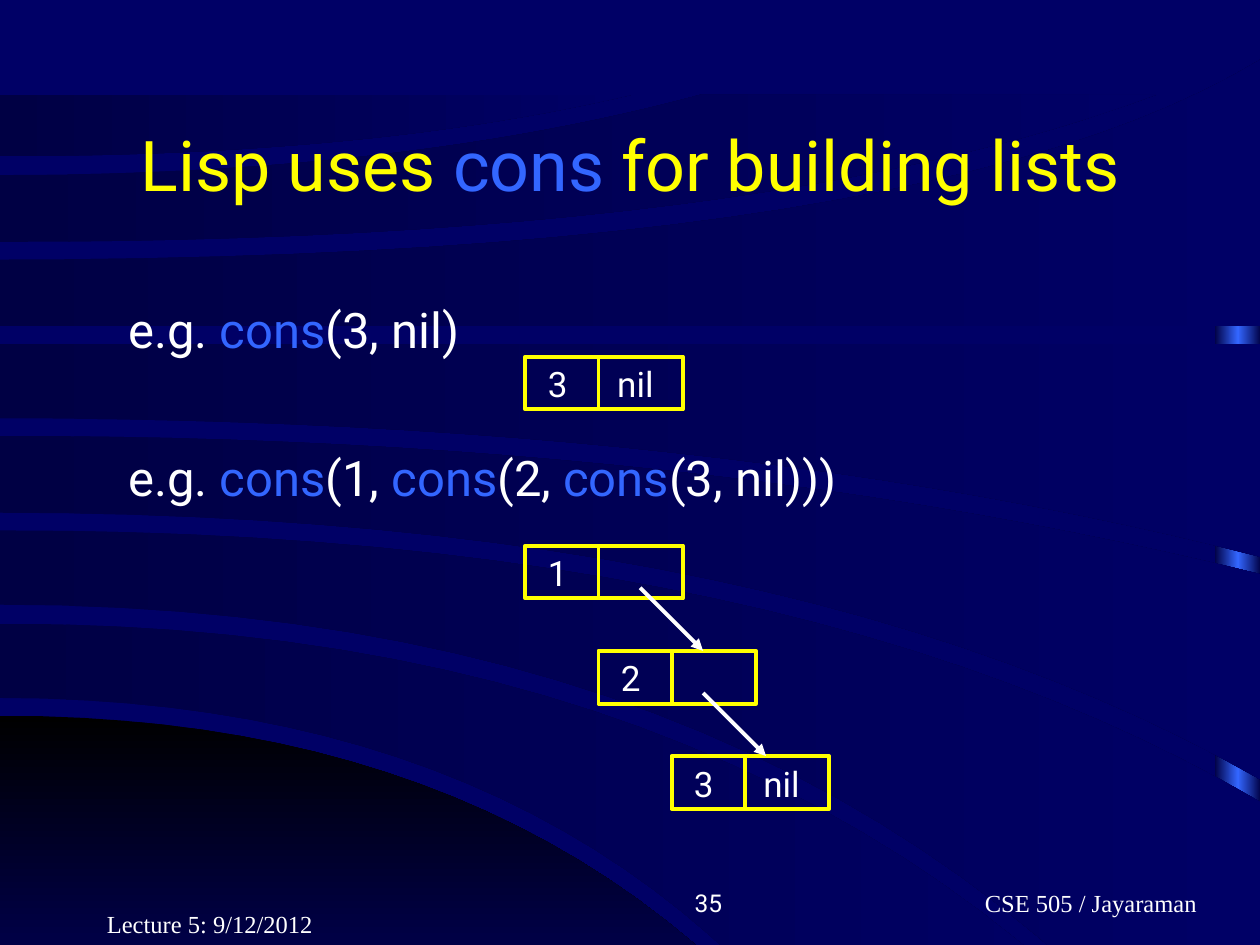
from copy import deepcopy

from lxml import etree
from pptx import Presentation
from pptx.dml.color import RGBColor
from pptx.enum.shapes import MSO_CONNECTOR, MSO_SHAPE
from pptx.enum.text import MSO_ANCHOR, MSO_AUTO_SIZE, PP_ALIGN
from pptx.oxml.ns import qn
from pptx.util import Inches, Pt

RECTANGLE, STRAIGHT = MSO_SHAPE.RECTANGLE, MSO_CONNECTOR.STRAIGHT
LEFT, CENTER, RIGHT = PP_ALIGN.LEFT, PP_ALIGN.CENTER, PP_ALIGN.RIGHT
TOP, MIDDLE, BOTTOM = MSO_ANCHOR.TOP, MSO_ANCHOR.MIDDLE, MSO_ANCHOR.BOTTOM

BLACK = RGBColor(0x00, 0x00, 0x00)
DARK_NAVY = RGBColor(0x00, 0x00, 0x44)
NAVY = RGBColor(0x00, 0x00, 0x66)
BLUE = RGBColor(0x33, 0x66, 0xFF)
YELLOW = RGBColor(0xFF, 0xFF, 0x00)
WHITE = RGBColor(0xFF, 0xFF, 0xFF)
SANS, SERIF = "Roboto", "Times New Roman"

KEYWORD = "cons"
TITLE = "Lisp uses cons for building lists"
EXAMPLES = [("e.g. cons(1, cons(2, cons(3, nil)))", 3.5), ("e.g. cons(3, nil)", 2.33)]
# text, left, top, width, right inset, alignment, font
FOOTERS = [
    ("CSE 505 / Jayaraman", 6.58, 6.83, 3.17, 0.25, RIGHT, SERIF),
    ("35", 3.75, 6.83, 2.08, 0.1, RIGHT, SANS),
    ("Lecture 5: 9/12/2012", 0.75, 7, 2.08, 0.1, LEFT, SERIF),
]
# Each list is a chain of cells: (head, tail)
SINGLE_LIST = [("3", "nil")]
TRIPLE_LIST = [("1", ""), ("2", ""), ("3", "nil")]
CELL_LEFT, CELL_WIDTH, CELL_HEIGHT, HEAD_WIDTH = 4.17, 1.25, 0.42, 0.58
STEP_X, STEP_Y = 0.58, 0.835
LINE_WIDTH = Pt(2.24)

# Each arc edge leaves the left side level: (start y, bend x, end x, end y)
CORNER = [(5.68, 4.06, 6.29, 8.27), (8.27, 3, 6.29, 8.27)]
BANDS = [
    [(4.95, 5.7, 8.94, 8.25), (5.54, 4.2, 6.43, 8.25)],
    [(4.21, 6.32, 10.01, 6.37), (4.8, 5.85, 9.1, 8.25)],
    [(3.46, 5.57, 10.01, 4.56), (4.07, 6.3, 10.01, 6.19)],
    [(2.73, 5, 10.01, 2.73), (3.32, 5.73, 10.01, 4.42)],
    [(2.06, 7.4, 10.01, 0.47), (2.59, 5, 10.01, 2.59)],
    [(1.39, 3.2, 5.57, 0.75), (1.92, 6.09, 9.18, 0.75)],
    [(0.75, 2.5, 5.02, 0.75), (1.24, 2.97, 5.02, 0.75)],
]
LOW_RIGHT = (10.01, 8.25)
EDGE_STEPS = 24


def fill_gradient(shape, colors, angle=0):
    """Fill a borderless shape with evenly spaced gradient colours."""
    shape.shadow.inherit = False
    shape.line.fill.background()
    shape.fill.gradient()
    shape.fill.gradient_angle = angle
    stop_list = shape.fill.gradient_stops[0]._gs.getparent()
    while len(stop_list) < len(colors):
        stop_list.append(deepcopy(stop_list[0]))
    for index, (stop, color) in enumerate(zip(shape.fill.gradient_stops, colors)):
        stop.position = index / (len(colors) - 1)
        stop.color.rgb = color


def edge_points(start_y, bend_x, end_x, end_y):
    """Return points along a quadratic curve that starts level."""
    steps = [index / EDGE_STEPS for index in range(EDGE_STEPS + 1)]
    return [(2 * t * (1 - t) * bend_x + t * t * end_x, start_y + t * t * (end_y - start_y))
            for t in steps]


def add_arc(shapes, edges, colors, angle=0):
    """Draw the area between an upper and a lower edge."""
    upper, lower = (edge_points(*edge) for edge in edges)
    corner = [LOW_RIGHT] if upper[-1][0] == LOW_RIGHT[0] > lower[-1][0] else []
    points = [(Inches(x), Inches(y)) for x, y in upper + corner + lower[::-1]]
    builder = shapes.build_freeform(*points[0], scale=1.0)
    builder.add_line_segments(points[1:], close=True)
    fill_gradient(builder.convert_to_shape(), colors, angle)


def write_text(frame, text, size, color=WHITE, font=SANS, align=LEFT, anchor=TOP):
    """Write one paragraph, with each keyword in blue."""
    frame.vertical_anchor = anchor
    paragraph = frame.paragraphs[0]
    paragraph.alignment = align
    paragraph.font.size, paragraph.font.name = Pt(size), font
    for index, part in enumerate(text.split(KEYWORD)):
        pieces = [(KEYWORD, BLUE)] if index else []
        for piece, piece_color in pieces + [(part, color)]:
            run = paragraph.add_run()
            run.text = piece
            run.font.color.rgb = piece_color


def add_text(shapes, text, left, top, width, height, size, wrap=True, **style):
    """Add a text box and return its frame."""
    box = shapes.add_textbox(Inches(left), Inches(top), Inches(width), Inches(height))
    box.text_frame.word_wrap = wrap
    write_text(box.text_frame, text, size, **style)
    return box.text_frame


def add_line(shapes, start, end, color, arrow=False):
    """Draw a straight line, with an arrowhead at its end if asked."""
    line = shapes.add_connector(STRAIGHT, *(Inches(value) for value in start + end))
    line.line.color.rgb, line.line.width = color, LINE_WIDTH
    if arrow:
        etree.SubElement(line.line._get_or_add_ln(), qn("a:tailEnd"), type="triangle")
    etree.SubElement(line._element.spPr, qn("a:effectLst"))


def add_linked_list(slide, cells, top):
    """Draw a chain of two-part cells stepping down to the right."""
    shapes = slide.shapes.add_group_shape().shapes
    for index, (head, tail) in enumerate(cells):
        x, y = CELL_LEFT + index * STEP_X, top + index * STEP_Y
        cell = shapes.add_shape(
            RECTANGLE, Inches(x), Inches(y), Inches(CELL_WIDTH), Inches(CELL_HEIGHT))
        cell.shadow.inherit = False
        cell.fill.background()
        cell.line.color.rgb, cell.line.width = YELLOW, LINE_WIDTH
        divider = x + HEAD_WIDTH
        add_line(shapes, (divider, y), (divider, y + CELL_HEIGHT), YELLOW)
        add_text(shapes, head, x + 0.08, y, 0.36, 0.44, 20, wrap=False)
        if tail:
            add_text(shapes, tail, x + 0.63, y, 0.51, 0.44, 20, wrap=False)
    for index in range(len(cells) - 1):
        x, y = CELL_LEFT + 0.91 + index * 0.5, top + 0.335 + index * STEP_Y
        add_line(shapes, (x, y), (x + 0.5, y + 0.5), WHITE, arrow=True)


presentation = Presentation()
presentation.slide_width, presentation.slide_height = Inches(10), Inches(7.5)
slide = presentation.slides.add_slide(presentation.slide_layouts[5])
slide.background.fill.solid()
slide.background.fill.fore_color.rgb = NAVY

title = slide.shapes.title
title.left, title.top, title.width, title.height = map(Inches, (0.75, 0.67, 8.5, 1.25))
title.text_frame.auto_size = MSO_AUTO_SIZE.NONE
write_text(title.text_frame, TITLE, 40, color=YELLOW, align=CENTER, anchor=MIDDLE)

backdrop = slide.shapes.add_group_shape()
strip = backdrop.shapes.add_shape(
    RECTANGLE, Inches(9.64), Inches(0.77), Inches(0.37), Inches(7.5))
fill_gradient(strip, [DARK_NAVY, BLUE, DARK_NAVY])
add_arc(backdrop.shapes, CORNER, [BLACK, NAVY], angle=270)
for band in BANDS:
    add_arc(backdrop.shapes, band, [DARK_NAVY, NAVY])
title._element.addprevious(backdrop._element)

for text, top in EXAMPLES:
    add_text(slide.shapes, text, 0.92, top, 6.42, 0.57, 28)
add_linked_list(slide, SINGLE_LIST, 2.83)
add_linked_list(slide, TRIPLE_LIST, 4.33)
for text, left, top, width, inset, align, font in FOOTERS:
    frame = add_text(slide.shapes, text, left, top, width, 0.5, 14,
                     font=font, align=align, anchor=BOTTOM)
    frame.margin_right = Inches(inset)

presentation.save("out.pptx")
